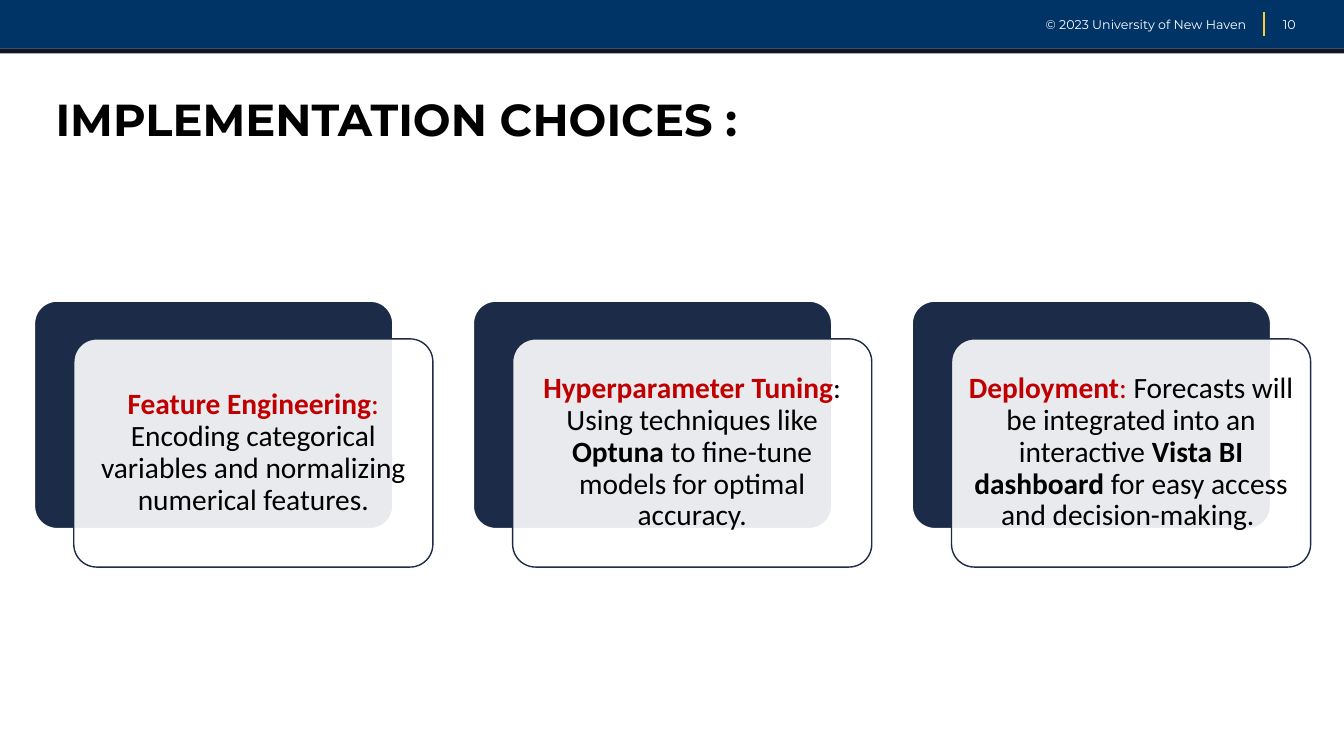
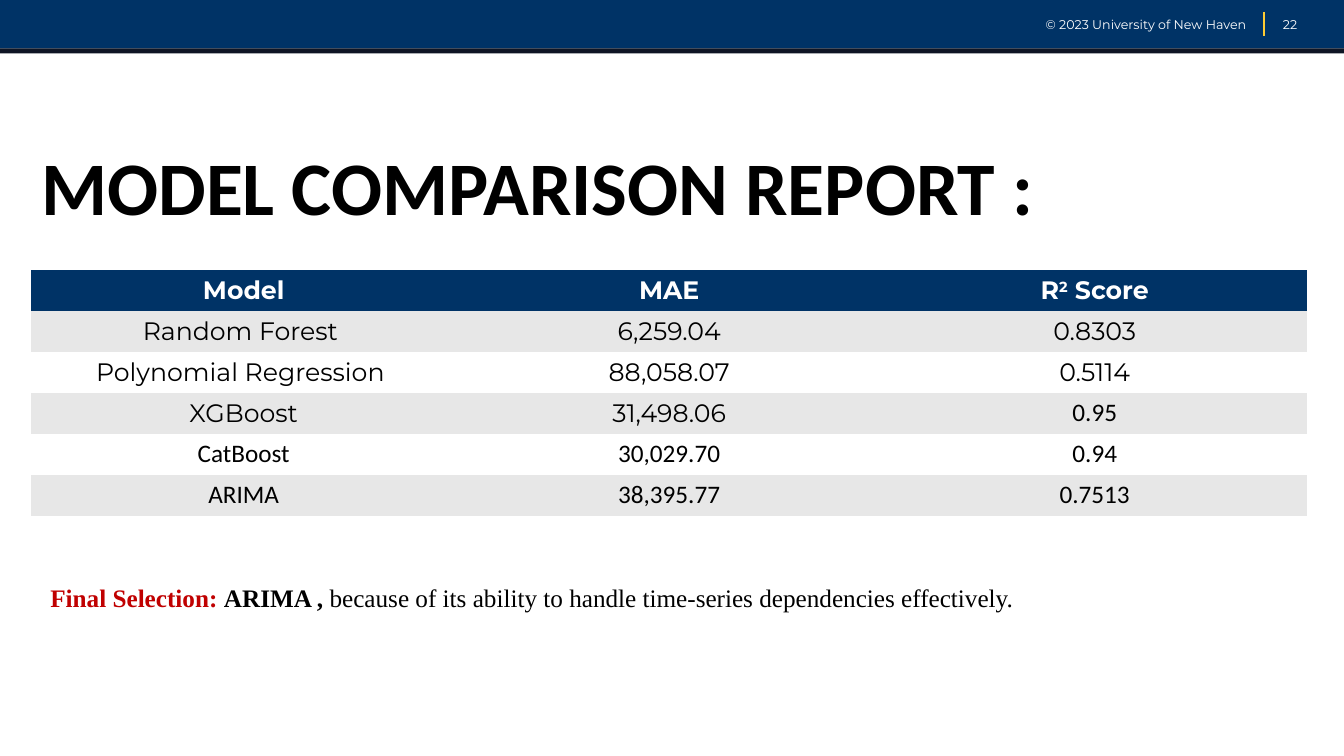
from lxml.etree import SubElement
from pptx import Presentation
from pptx.dml.color import RGBColor
from pptx.enum.shapes import MSO_CONNECTOR, MSO_SHAPE
from pptx.enum.text import MSO_ANCHOR, MSO_AUTO_SIZE, PP_ALIGN
from pptx.oxml.ns import qn
from pptx.util import Cm, Pt

# Shared colours and fonts
BLUE, NAVY, DARK, GOLD = "003366", "1C2B48", "0E1524", "FFCC33"
RED, BLACK, WHITE, GREY = "C00000", "000000", "FFFFFF", "E7E7E7"
HEAD, BODY, SERIF = "Montserrat", "Calibri", "Times New Roman"
WIDTH, HEIGHT = 33.87, 19.05
NO_STYLE = "{2D5ABB26-0587-4C30-8999-92F81FD0307C}"


def rgb(color):
    return RGBColor.from_string(color)


class Deck:
    """Holds the style and the current slide."""

    def __init__(self):
        self.prs = Presentation()
        self.prs.slide_width, self.prs.slide_height = Cm(WIDTH), Cm(HEIGHT)
        self.s = None

    def add_slide(self, number):
        self.s = self.prs.slides.add_slide(self.prs.slide_layouts[5])
        self.box(MSO_SHAPE.RECTANGLE, 0, 0, WIDTH, 1.22, BLUE)
        self.text(32.33, 0.43, 0.69, 0.36, [(number, WHITE, False)], HEAD, 9)
        self.text(25.2, 0.43, 6.2, 0.36,
                  [("© 2023 University of New Haven", WHITE, False)],
                  HEAD, 9, PP_ALIGN.RIGHT)
        self.line(31.85, 0.3, 31.85, 0.91, GOLD)
        self.box(MSO_SHAPE.RECTANGLE, 0, 1.22, WIDTH, 0.13, DARK)

    def runs(self, p, runs, font, size):
        """Each run is (text, colour, bold)."""
        for text, color, bold in runs:
            r = p.add_run()
            r.text = text
            r.font.name, r.font.size, r.font.bold = font, Pt(size), bold
            r.font.color.rgb = rgb(color)

    def frame(self, tf, runs, font, size, align=PP_ALIGN.LEFT, inset=(0, 0),
              spacing=1.0):
        tf.word_wrap = True
        tf.auto_size = MSO_AUTO_SIZE.NONE
        tf.vertical_anchor = MSO_ANCHOR.MIDDLE
        tf.margin_left = tf.margin_right = Cm(inset[0])
        tf.margin_top = tf.margin_bottom = Cm(inset[1])
        p = tf.paragraphs[0]
        p.alignment, p.line_spacing = align, spacing
        self.runs(p, runs, font, size)

    def title(self, x, y, text, font, size):
        sp = self.s.shapes.title
        sp.left, sp.top, sp.width, sp.height = Cm(x), Cm(y), Cm(29.36), Cm(2.69)
        self.frame(sp.text_frame, [(text, BLACK, True)], font, size, spacing=0.9)

    def text(self, x, y, w, h, runs, font, size, align=PP_ALIGN.LEFT, inset=(0, 0)):
        sp = self.s.shapes.add_textbox(Cm(x), Cm(y), Cm(w), Cm(h))
        self.frame(sp.text_frame, runs, font, size, align, inset)

    def box(self, kind, x, y, w, h, fill, line=None, weight=1.0, opacity=100):
        sp = self.s.shapes.add_shape(kind, Cm(x), Cm(y), Cm(w), Cm(h))
        sp.shadow.inherit = False
        sp.fill.solid()
        sp.fill.fore_color.rgb = rgb(fill)
        if opacity < 100:
            clr = sp._element.spPr.find(qn("a:solidFill")).find(qn("a:srgbClr"))
            SubElement(clr, qn("a:alpha")).set("val", str(opacity * 1000))
        if line:
            sp.line.color.rgb, sp.line.width = rgb(line), Pt(weight)
        else:
            sp.line.fill.background()
        return sp

    def line(self, x1, y1, x2, y2, color):
        cn = self.s.shapes.add_connector(
            MSO_CONNECTOR.STRAIGHT, Cm(x1), Cm(y1), Cm(x2), Cm(y2))
        cn.line.color.rgb, cn.line.width = rgb(color), Pt(1)
        SubElement(cn._element.spPr, qn("a:effectLst"))

    def card(self, x, y, runs):
        w, h = 9.05, 5.75
        back = self.box(MSO_SHAPE.ROUNDED_RECTANGLE, x, y, w, h, NAVY, WHITE, 1.5)
        front = self.box(MSO_SHAPE.ROUNDED_RECTANGLE, x + 1, y + 0.96, w, h,
                         WHITE, NAVY, opacity=90)
        back.adjustments[0] = front.adjustments[0] = 0.1
        self.frame(front.text_frame, runs, BODY, 21, PP_ALIGN.CENTER,
                   (0.23, 0.23), 0.9)

    def table(self, x, y, w, row_h, rows, body_cells):
        """Cells listed in body_cells as (row, column) use the body font."""
        shape = self.s.shapes.add_table(len(rows), len(rows[0]), Cm(x), Cm(y),
                                        Cm(w), Cm(row_h * len(rows)))
        tbl = shape.table
        tbl._tbl.tblPr.find(qn("a:tableStyleId")).text = NO_STYLE
        for i, row in enumerate(rows):
            header = i == 0
            fill = BLUE if header else (GREY if i % 2 else WHITE)
            for j, text in enumerate(row):
                cell = tbl.cell(i, j)
                cell.fill.solid()
                cell.fill.fore_color.rgb = rgb(fill)
                cell.vertical_anchor = MSO_ANCHOR.MIDDLE
                p = cell.text_frame.paragraphs[0]
                p.alignment = PP_ALIGN.CENTER
                parts = text if isinstance(text, tuple) else (text,)
                self.runs(p, [(t, WHITE if header else BLACK, header) for t in parts],
                          BODY if (i, j) in body_cells else HEAD, 18)
        return tbl


def choices_slide(deck):
    deck.add_slide("10")
    deck.title(1.4, 1.73, "IMPLEMENTATION CHOICES :", HEAD, 32)
    cards = [
        [("Feature Engineering", RED, True), (": ", RED, False),
         ("Encoding categorical variables and normalizing numerical features.",
          BLACK, False)],
        [("Hyperparameter Tuning", RED, True),
         (": Using techniques like ", BLACK, False), ("Optuna", BLACK, True),
         (" to fine-tune models for optimal accuracy.", BLACK, False)],
        [("Deployment", RED, True), (":", RED, False),
         (" Forecasts will be integrated into an interactive ", BLACK, False),
         ("Vista BI dashboard", BLACK, True),
         (" for easy access and decision-making. ", BLACK, False)],
    ]
    for i, runs in enumerate(cards):
        deck.card(0.86 + i * 11.06, 7.58, runs)


def comparison_slide(deck):
    deck.add_slide("22")
    deck.title(1.04, 3.48, "MODEL COMPARISON REPORT :", BODY, 54)
    rows = [
        ("Model", "MAE", ("R", "2", " Score")),
        ("Random Forest ", "6,259.04", "0.8303"),
        ("Polynomial Regression ", "88,058.07", "0.5114"),
        ("XGBoost", "31,498.06", "0.95"),
        ("CatBoost", "30,029.70", "0.94"),
        ("ARIMA", "38,395.77", "0.7513"),
    ]
    body_cells = {(3, 2)} | {(i, j) for i in (4, 5) for j in range(3)}
    tbl = deck.table(0.78, 6.81, 32.17, 1.03, rows, body_cells)
    # Superscript in the score heading
    square = tbl.cell(0, 2).text_frame.paragraphs[0].runs[1]
    square._r.get_or_add_rPr().set("baseline", "30000")
    deck.text(1.02, 14.55, 31.7, 1.02,
              [("Final Selection: ", RED, True), ("ARIMA , ", BLACK, True),
               ("because of its ability to handle time-series dependencies "
                "effectively.", BLACK, False)],
              SERIF, 18, inset=(0.25, 0.13))


def main():
    deck = Deck()
    choices_slide(deck)
    comparison_slide(deck)
    deck.prs.save("out.pptx")


if __name__ == "__main__":
    main()
